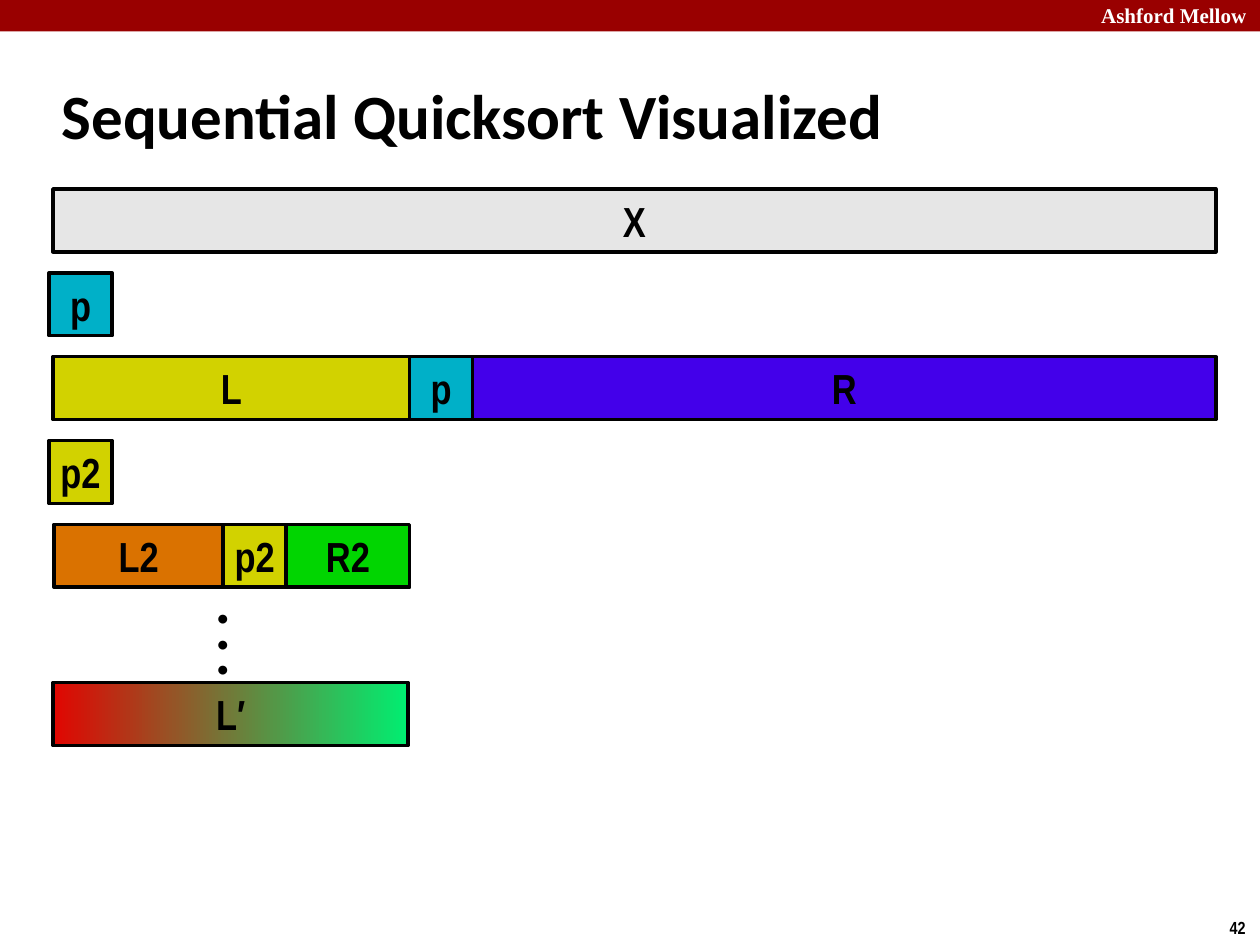
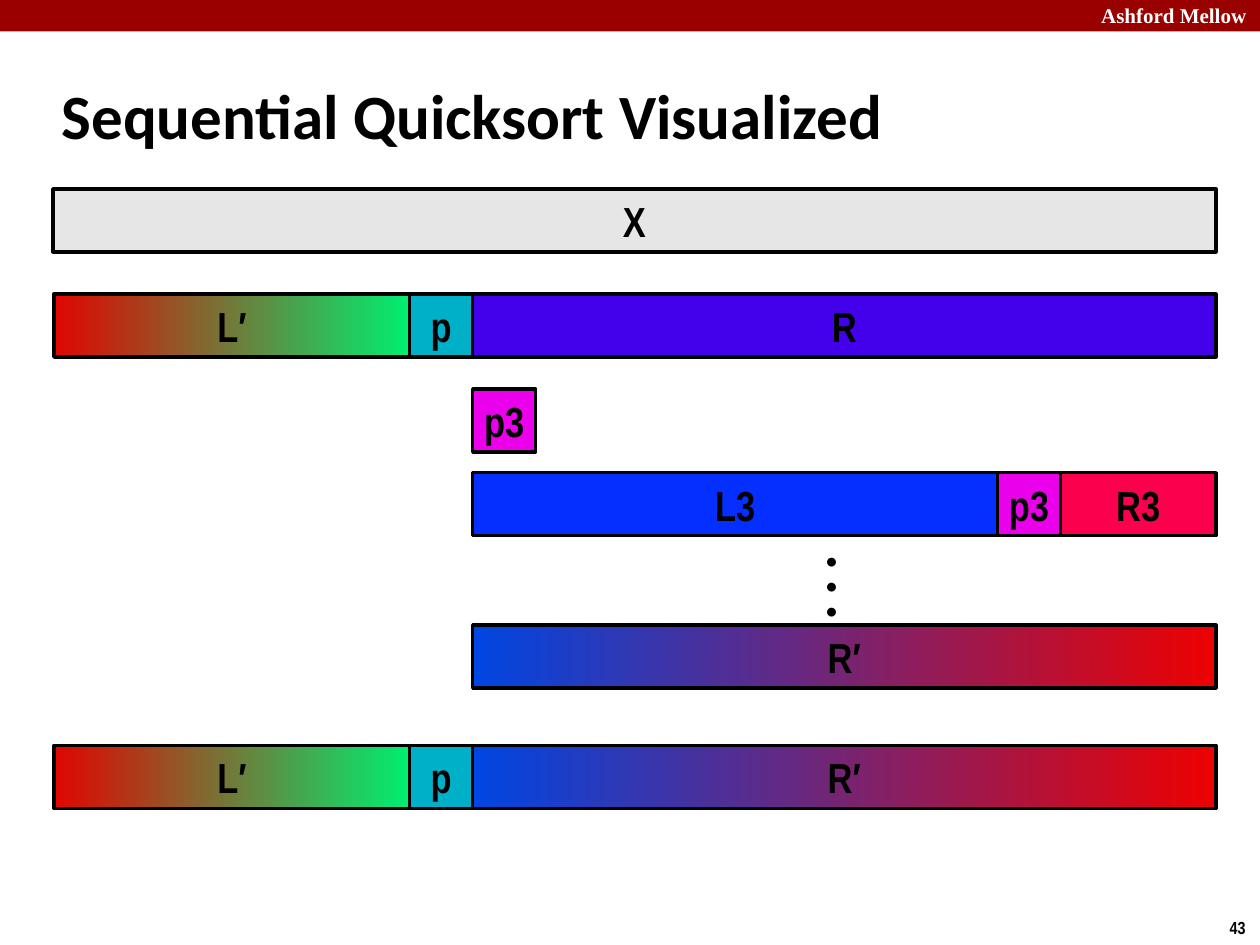
from itertools import pairwise

from pptx import Presentation
from pptx.dml.color import RGBColor
from pptx.enum.shapes import MSO_SHAPE
from pptx.enum.text import MSO_ANCHOR, PP_ALIGN
from pptx.util import Cm, Pt

COLORS = {
    "ink": "000000", "white": "FFFFFF", "banner": "990000",
    "X": "E6E6E6", "p": "00B0C8", "L": "D2D200", "R": "4300EA",
    "p2": "D2D200", "L2": "DA7200", "R2": "01D501",
    "p3": "EA00EA", "L3": "052FFF", "R3": "FA004D",
    "L′ start": "E10601", "L′ end": "00EE71",
    "R′ start": "0046E2", "R′ end": "ED0101",
}
SORTED = ("L′", "R′")

CELL = 1.27
STEP = 1.69
ARRAY_TOP = 3.81
ARRAY_LEFT, PART_LEFT = 1.07, 1.09
PIVOT_LEFT = 8.26
PIVOT_RIGHT = PIVOT_LEFT + CELL
ARRAY_RIGHT = 24.51
LONE_PIVOT_LEFT = 0.99


def color(key):
    return RGBColor.from_string(COLORS[key])


def add_run(paragraph, text, font, size, ink="ink"):
    run = paragraph.add_run()
    run.text = text
    run.font.name = font
    run.font.size = Pt(size)
    run.font.bold = True
    run.font.color.rgb = color(ink)


def add_rectangle(slide, left, top, width, height):
    rectangle = slide.shapes.add_shape(
        MSO_SHAPE.RECTANGLE, Cm(left), Cm(top), Cm(width), Cm(height))
    rectangle.shadow.inherit = False
    return rectangle


def add_label(slide, box, lines, font, size, ink="ink", wrap=False):
    frame = slide.shapes.add_textbox(*map(Cm, box)).text_frame
    frame.word_wrap = wrap
    for number, line in enumerate(lines):
        paragraph = frame.add_paragraph() if number else frame.paragraphs[0]
        add_run(paragraph, line, font, size, ink)


def fill_segment(fill, label):
    if label not in SORTED:
        fill.solid()
        fill.fore_color.rgb = color(label)
        return
    fill.gradient()
    fill.gradient_angle = 0
    for stop, position, end in zip(fill.gradient_stops, (0, 1), ("start", "end")):
        stop.position = position
        stop.color.rgb = color(f"{label} {end}")


def add_segment(slide, label, left, top, right):
    segment = add_rectangle(slide, left, top, right - left, CELL)
    fill_segment(segment.fill, label)
    segment.line.color.rgb = color("ink")
    segment.line.width = Pt(2)
    frame = segment.text_frame
    frame.word_wrap = False
    frame.vertical_anchor = MSO_ANCHOR.MIDDLE
    frame.paragraphs[0].alignment = PP_ALIGN.CENTER
    add_run(frame.paragraphs[0], label, "Arial Narrow", 24)


def add_row(slide, top, labels, edges):
    for label, (left, right) in zip(labels, pairwise(edges)):
        add_segment(slide, label, left, top, right)


def add_pivot(slide, label, left, top):
    add_segment(slide, label, left, top, left + CELL)


def add_sorted_part(slide, label, left, top, right, dots_left):
    add_label(slide, (dots_left, top - STEP, 0.71, 1.8), "•••", "Calibri", 12)
    add_segment(slide, label, left, top, right)


def add_quicksort_slide(deck, number):
    slide = deck.slides.add_slide(deck.slide_layouts[5])
    banner = add_rectangle(slide, 0, 0, 25.4, 0.635)
    banner.fill.solid()
    banner.fill.fore_color.rgb = color("banner")
    banner.line.fill.background()
    add_label(slide, (21.95, -0.08, 3.63, 0.76), ["Ashford Mellow"],
              "Times New Roman", 12, "white", wrap=True)
    add_label(slide, (24.54, 18.36, 0.86, 0.69), [str(number)], "Arial Narrow", 10)

    title = slide.shapes.title
    title.left, title.top, title.width, title.height = map(Cm, (0.99, 1.24, 21.08, 2.11))
    title.text_frame.vertical_anchor = MSO_ANCHOR.MIDDLE
    heading = title.text_frame.paragraphs[0]
    heading.alignment = PP_ALIGN.LEFT
    add_run(heading, "Sequential Quicksort Visualized", "Calibri", 36)

    add_segment(slide, "X", ARRAY_LEFT, ARRAY_TOP, ARRAY_RIGHT)
    return slide


def draw_left_part(slide):
    first_pivot, first_split, second_pivot, second_split = (
        ARRAY_TOP + STEP * level for level in range(1, 5))
    add_pivot(slide, "p", LONE_PIVOT_LEFT, first_pivot)
    add_row(slide, first_split, ("L", "p", "R"),
            (ARRAY_LEFT, PIVOT_LEFT, PIVOT_RIGHT, ARRAY_RIGHT))
    add_pivot(slide, "p2", LONE_PIVOT_LEFT, second_pivot)
    add_row(slide, second_split, ("L2", "p2", "R2"),
            (PART_LEFT, 4.5, 4.5 + CELL, PIVOT_LEFT))
    add_sorted_part(slide, "L′", ARRAY_LEFT, 13.76, 8.23, dots_left=4.14)


def draw_right_part(slide):
    whole = (PART_LEFT, PIVOT_LEFT, PIVOT_RIGHT, ARRAY_RIGHT)
    third_split = 9.53
    add_row(slide, 5.93, ("L′", "p", "R"), whole)
    add_pivot(slide, "p3", PIVOT_RIGHT, third_split - STEP)
    add_row(slide, third_split, ("L3", "p3", "R3"),
            (PIVOT_RIGHT, 20.11, 20.11 + CELL, ARRAY_RIGHT))
    add_sorted_part(slide, "R′", PIVOT_RIGHT, 12.6, ARRAY_RIGHT, dots_left=16.41)
    add_row(slide, 15.03, ("L′", "p", "R′"), whole)


def main():
    deck = Presentation()
    deck.slide_width, deck.slide_height = Cm(25.4), Cm(19.05)
    for number, draw_part in enumerate((draw_left_part, draw_right_part), start=42):
        draw_part(add_quicksort_slide(deck, number))
    deck.save("out.pptx")


if __name__ == "__main__":
    main()
